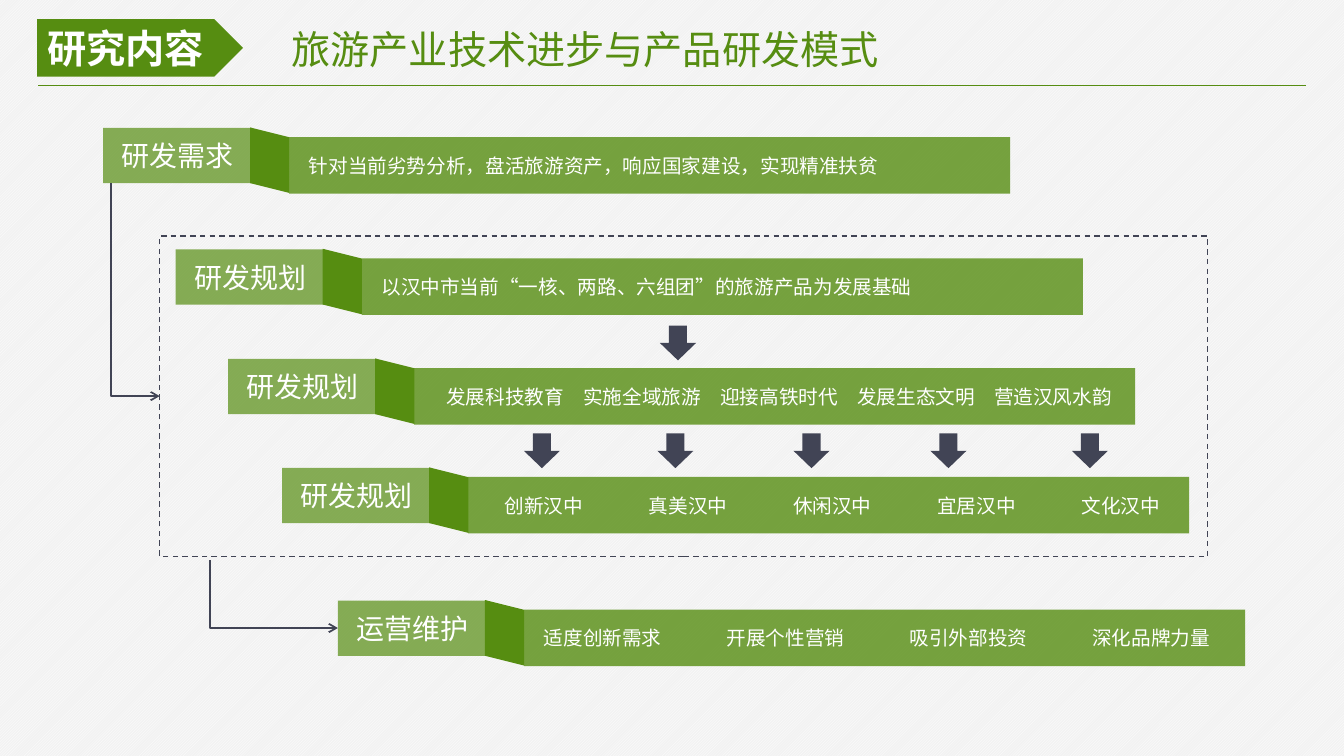
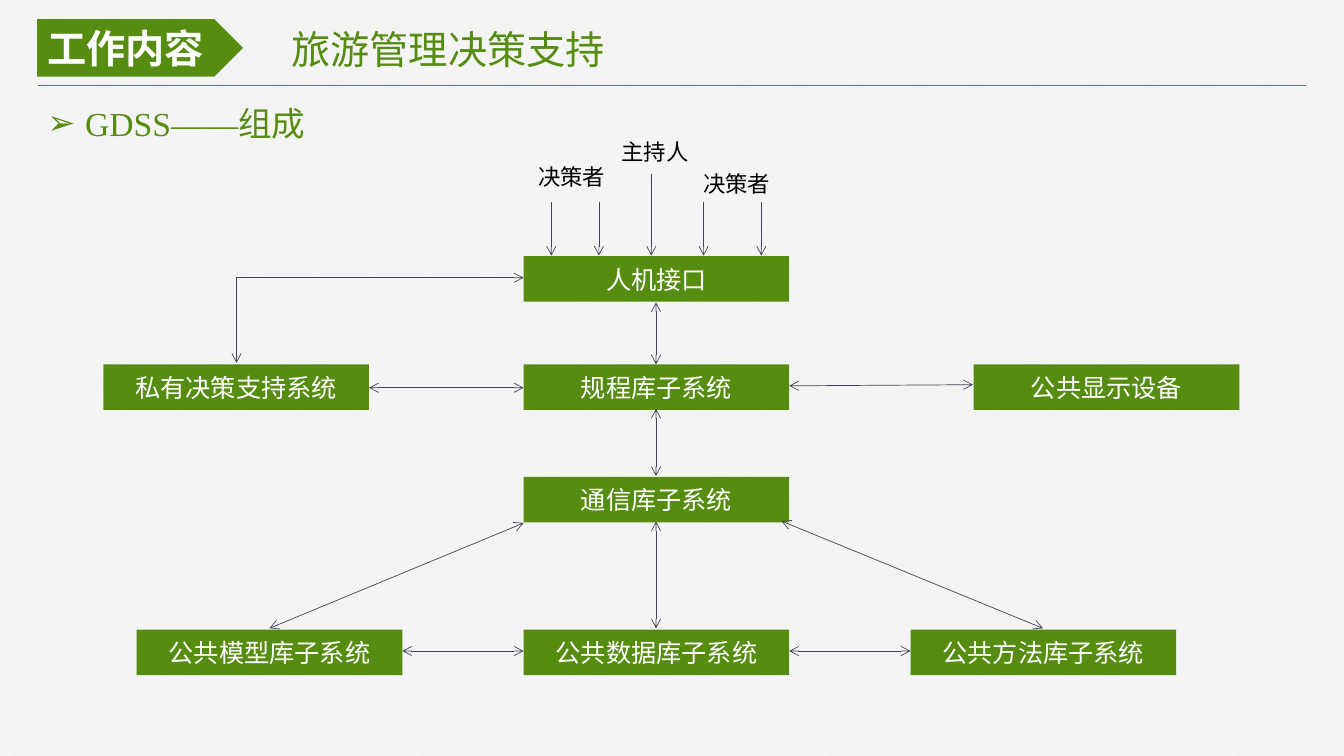
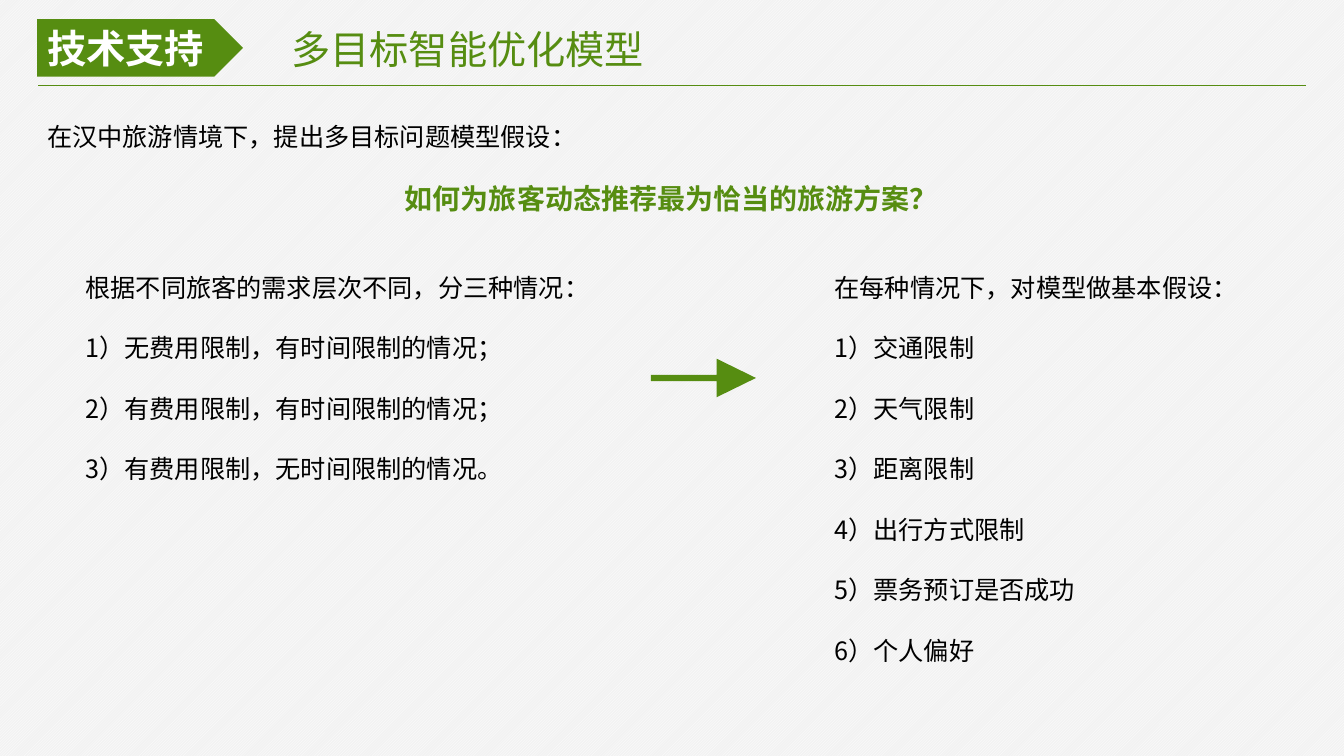
from lxml import etree
from pptx import Presentation
from pptx.dml.color import RGBColor
from pptx.enum.dml import MSO_LINE, MSO_PATTERN
from pptx.enum.shapes import MSO_CONNECTOR, MSO_SHAPE
from pptx.enum.text import MSO_ANCHOR, MSO_AUTO_SIZE, PP_ALIGN
from pptx.oxml.ns import qn
from pptx.util import Pt

COLORS = {"green": "568D11", "slate": "414455", "white": "FFFFFF",
          "black": "000000", "paper": "F2F2F2"}
FONT = "Noto Sans CJK SC"
SERIF = "Times New Roman"
LEFT, CENTER = PP_ALIGN.LEFT, PP_ALIGN.CENTER
TOP, MIDDLE = MSO_ANCHOR.TOP, MSO_ANCHOR.MIDDLE
RECT, PENTAGON = MSO_SHAPE.RECTANGLE, MSO_SHAPE.PENTAGON
DOWN, RIGHT = MSO_SHAPE.DOWN_ARROW, MSO_SHAPE.RIGHT_ARROW
FOLD = MSO_SHAPE.PARALLELOGRAM
STRAIGHT, ELBOW = MSO_CONNECTOR.STRAIGHT, MSO_CONNECTOR.ELBOW
DASH = MSO_LINE.DASH
TITLE_CONTENT, TWO_CONTENT, TITLE_ONLY = 1, 3, 5


def rgb(name):
    return RGBColor.from_string(COLORS[name])


class Deck:
    def __init__(self):
        self.prs = Presentation()
        self.prs.slide_width, self.prs.slide_height = Pt(960), Pt(540)
        fill = self.prs.slide_master.background.fill
        fill.patterned()
        fill.pattern = MSO_PATTERN.LIGHT_UPWARD_DIAGONAL
        fill.fore_color.rgb = rgb("white")
        fill.back_color.rgb = rgb("paper")
        self.slide = None

    def new_slide(self, layout, tag, title):
        self.slide = self.prs.slides.add_slide(self.prs.slide_layouts[layout])
        sp = self.slide.shapes.title
        self.place(sp, 201, 14.4, 562, 41)
        self.fill_text(sp, [title], 28, "green")
        sp = self.shape(PENTAGON, 26.6, 13.7, 147, 41, "green")
        self.fill_text(sp, [tag], 28, "white", bold=True, anchor=MIDDLE, wrap=False)
        self.line(27.4, 61.2, 933, 61.2, "green", 1)

    def place(self, sp, x, y, w, h):
        sp.left, sp.top, sp.width, sp.height = Pt(x), Pt(y), Pt(w), Pt(h)

    def fill_text(self, sp, lines, size, color, bold=False, align=LEFT,
                  anchor=TOP, wrap=True, gap=0, latin=FONT):
        tf = sp.text_frame
        tf.text = "\n".join(lines)
        tf.word_wrap = wrap
        tf.auto_size = MSO_AUTO_SIZE.NONE
        tf.vertical_anchor = anchor
        for i, p in enumerate(tf.paragraphs):
            p.alignment = align
            p.space_before = Pt(gap if i else 0)
            for r in p.runs:
                self.style(r, size, color, bold, latin)

    def style(self, r, size, color, bold, latin):
        r.font.size, r.font.bold, r.font.name = Pt(size), bold, latin
        r.font.color.rgb = rgb(color)
        ea = etree.SubElement(r._r.get_or_add_rPr(), qn("a:ea"))
        ea.set("typeface", FONT)

    def text(self, lines, x, y, w, h, size, color, **options):
        sp = self.slide.shapes.add_textbox(Pt(x), Pt(y), Pt(w), Pt(h))
        self.fill_text(sp, lines, size, color, **options)
        return sp

    def body(self, index, lines, x, y, w, h, size, color, bullet=None, **options):
        sp = self.slide.placeholders[index]
        self.place(sp, x, y, w, h)
        self.fill_text(sp, lines, size, color, **options)
        indent = 27 if bullet else 0
        for p in sp.text_frame.paragraphs:
            pPr = p._p.get_or_add_pPr()
            pPr.set("marL", str(Pt(indent)))
            pPr.set("indent", str(Pt(-indent)))
            if bullet:
                etree.SubElement(pPr, qn("a:buChar")).set("char", bullet)
            else:
                etree.SubElement(pPr, qn("a:buNone"))

    def shape(self, kind, x, y, w, h, color, opacity=100):
        sp = self.slide.shapes.add_shape(kind, Pt(x), Pt(y), Pt(w), Pt(h))
        sp.shadow.inherit = False
        sp.fill.solid()
        sp.fill.fore_color.rgb = rgb(color)
        sp.line.fill.background()
        if opacity < 100:
            clr = sp._element.spPr.find(qn("a:solidFill")).find(qn("a:srgbClr"))
            etree.SubElement(clr, qn("a:alpha")).set("val", str(opacity * 1000))
        return sp

    def box(self, label, x, y, w, h, size, opacity=100):
        sp = self.shape(RECT, x, y, w, h, "green", opacity)
        self.fill_text(sp, [label], size, "white", align=CENTER, anchor=MIDDLE)

    def frame(self, x, y, w, h):
        sp = self.shape(RECT, x, y, w, h, "white")
        sp.fill.background()
        sp.line.color.rgb = rgb("slate")
        sp.line.width = Pt(1)
        sp.line.dash_style = DASH

    def line(self, x1, y1, x2, y2, color="slate", width=0.5, ends=(), bent=False):
        cn = self.slide.shapes.add_connector(
            ELBOW if bent else STRAIGHT, Pt(x1), Pt(y1), Pt(x2), Pt(y2))
        cn.line.color.rgb = rgb(color)
        cn.line.width = Pt(width)
        spPr = cn._element.spPr
        if bent:
            spPr.find(qn("a:prstGeom")).set("prst", "bentConnector2")
        ln = spPr.find(qn("a:ln"))
        for end in ends:
            etree.SubElement(ln, qn("a:" + end)).set("type", "arrow")
        etree.SubElement(spPr, qn("a:effectLst"))

    def both(self, x1, y1, x2, y2, bent=False):
        self.line(x1, y1, x2, y2, ends=("headEnd", "tailEnd"), bent=bent)

    def ribbon(self, label, x, y, items, first=0, step=0):
        self.box(label, x, y, 106.5, 39.5, 20, opacity=70)
        sp = self.shape(FOLD, x + 95.6, y + 9, 46.8, 28, "green")
        sp.rotation = 90
        bar_x, bar_y, bar_w, bar_h = x + 133, y + 6.5, 515, 40.4
        bar = self.shape(RECT, bar_x, bar_y, bar_w, bar_h, "green", 80)
        if len(items) == 1:
            self.fill_text(bar, items, 14, "white", anchor=MIDDLE)
            bar.text_frame.margin_left = Pt(14)
            return
        for i, item in enumerate(items):
            self.text([item], first + i * step - 50, bar_y, 100, bar_h, 14,
                      "white", align=CENTER, anchor=MIDDLE, wrap=False)


def research(deck):
    deck.new_slide(TITLE_ONLY, "研究内容", "旅游产业技术进步与产品研发模式")
    deck.frame(114.1, 168.6, 748.6, 229)
    deck.ribbon("研发需求", 73.6, 91.4,
                ["针对当前劣势分析，盘活旅游资产，响应国家建设，实现精准扶贫"])
    deck.ribbon("研发规划", 125.5, 178.1,
                ["以汉中市当前“一核、两路、六组团”的旅游产品为发展基础"])
    deck.ribbon("研发规划", 162.9, 256.4,
                ["发展科技教育", "实施全域旅游", "迎接高铁时代", "发展生态文明",
                 "营造汉风水韵"], 361, 97.8)
    deck.ribbon("研发规划", 201.5, 334.2,
                ["创新汉中", "真美汉中", "休闲汉中", "宜居汉中", "文化汉中"],
                388.6, 103)
    deck.ribbon("运营维护", 241.4, 429,
                ["适度创新需求", "开展个性营销", "吸引外部投资", "深化品牌力量"],
                430.6, 130.6)
    deck.shape(DOWN, 471.4, 232.6, 25.8, 24.8, "slate")
    for x in (374.2, 469.6, 566.8, 664.6, 765.6):
        deck.shape(DOWN, x, 309.6, 25.8, 24.8, "slate")
    for corner in ((114.1, 283, 79.2, 131), (241.4, 448.6, 150, 400)):
        deck.line(*corner, width=1.25, ends=["headEnd"], bent=True)


def decision_support(deck):
    deck.new_slide(TITLE_CONTENT, "工作内容", "旅游管理决策支持")
    deck.body(1, ["GDSS——组成"], 26.6, 69.8, 906, 36, 24, "green",
              bullet="➢", latin=SERIF)
    for label, x, y in (("人机接口", 374, 183), ("规程库子系统", 374, 260.3),
                        ("通信库子系统", 374, 340.6),
                        ("公共数据库子系统", 374, 449.8),
                        ("公共模型库子系统", 97.6, 449.8),
                        ("公共方法库子系统", 650.4, 449.8),
                        ("公共显示设备", 695.5, 260.3),
                        ("私有决策支持系统", 73.8, 260.3)):
        deck.box(label, x, y, 189.8, 32.5, 18)
    for y1, y2 in ((216, 260.3), (292, 340), (372.5, 448.8)):
        deck.both(468.6, y1, 468.6, y2)
    for x1, y1, x2, y2 in ((287.4, 465, 374, 465), (563.8, 465, 650.4, 465),
                           (192.5, 448.8, 374, 373.6), (745, 448.8, 558.2, 372.2),
                           (263.6, 277, 374, 277), (563.8, 275.6, 695, 274.8)):
        deck.both(x1, y1, x2, y2)
    deck.both(374, 198.4, 169, 259.2, bent=True)
    for x, y in ((393.8, 144.4), (427.8, 144.4), (465.2, 124.4),
                 (502.6, 144.4), (543.8, 144.4)):
        deck.line(x, y, x, 182.6, ends=["tailEnd"])
    for label, x, y in (("决策者", 374, 113), ("决策者", 491.6, 118),
                        ("主持人", 433.4, 95)):
        deck.text([label], x, y, 69, 26.6, 16, "black", align=CENTER, wrap=False)


def optimisation(deck):
    deck.new_slide(TWO_CONTENT, "技术支持", "多目标智能优化模型")
    deck.body(1, ["根据不同旅客的需求层次不同，分三种情况：",
                  "1）无费用限制，有时间限制的情况；",
                  "2）有费用限制，有时间限制的情况；",
                  "3）有费用限制，无时间限制的情况。"],
              53.8, 190.8, 382, 204, 18, "black", gap=21.6)
    deck.body(2, ["在每种情况下，对模型做基本假设：", "1）交通限制", "2）天气限制",
                  "3）距离限制", "4）出行方式限制", "5）票务预订是否成功",
                  "6）个人偏好"],
              588.8, 190.8, 323, 312, 18, "black", gap=21.6)
    sp = deck.text(["在汉中旅游情境下，提出多目标问题模型假设：",
                    "如何为旅客动态推荐最为恰当的旅游方案？"],
                   26.6, 82.8, 906, 75, 18, "black", gap=21.6)
    p = sp.text_frame.paragraphs[1]
    p.alignment = CENTER
    r = p.runs[0]
    r.font.size, r.font.bold = Pt(20), True
    r.font.color.rgb = rgb("green")
    sp = deck.shape(RIGHT, 465, 256.2, 75, 27.6, "green")
    sp.adjustments[0], sp.adjustments[1] = 0.16, 1.02


def main():
    deck = Deck()
    research(deck)
    decision_support(deck)
    optimisation(deck)
    deck.prs.save("out.pptx")


if __name__ == "__main__":
    main()
